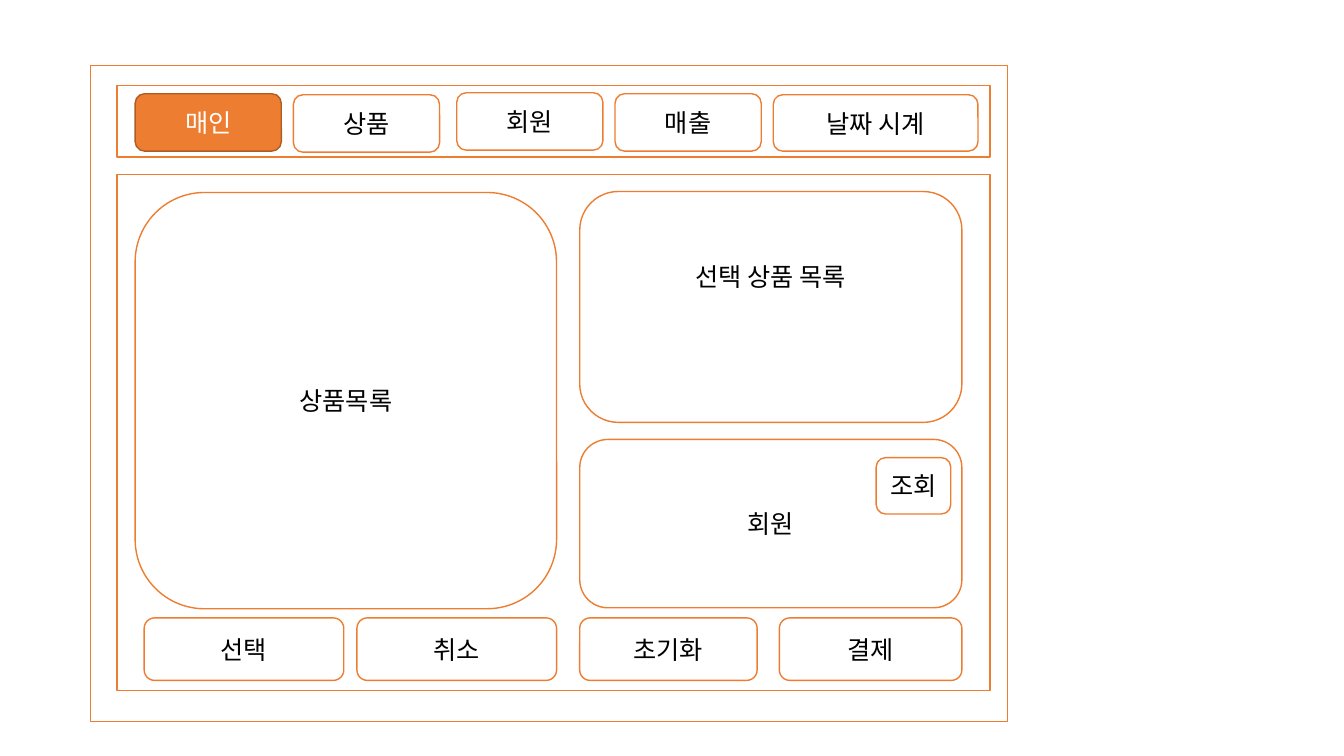
from pptx import Presentation
from pptx.dml.color import RGBColor
from pptx.enum.shapes import MSO_SHAPE as SHAPE
from pptx.enum.text import MSO_ANCHOR as ANCHOR, PP_ALIGN as ALIGN
from pptx.oxml.ns import qn
from pptx.util import Inches, Pt
from lxml.etree import SubElement

FONT = "Noto Sans CJK KR"
COLORS = {
    "white": "FFFFFF",
    "black": "000000",
    "orange": "ED7D31",
    "dark_orange": "AF5C24",
}


def color(name):
    return RGBColor.from_string(COLORS[name])


def write_text(sp, text, size=18, font_color="black", bottom=0.05):
    tf = sp.text_frame
    tf.word_wrap = True
    tf.vertical_anchor = ANCHOR.MIDDLE
    tf.margin_bottom = Inches(bottom)
    p = tf.paragraphs[0]
    p.alignment = ALIGN.CENTER
    r = p.add_run()
    r.text = text
    r.font.size = Pt(size)
    r.font.name = FONT
    r.font.color.rgb = color(font_color)
    SubElement(r.font._element, qn("a:ea"), typeface=FONT)


def add_box(s, kind, x, y, w, h, fill="white", line="orange"):
    sp = s.shapes.add_shape(kind, Inches(x), Inches(y), Inches(w), Inches(h))
    sp.shadow.inherit = False
    sp.fill.solid()
    sp.fill.fore_color.rgb = color(fill)
    sp.line.color.rgb = color(line)
    sp.line.width = Pt(1)
    return sp


def add_frame(s, x, y, w, h):
    add_box(s, SHAPE.RECTANGLE, x, y, w, h)


def add_panel(s, text, x, y, w, h, fill="white", line="orange", **text_format):
    sp = add_box(s, SHAPE.ROUNDED_RECTANGLE, x, y, w, h, fill, line)
    write_text(sp, text, **text_format)


def add_menu(s):
    add_panel(s, "매인", 1.34, 0.93, 1.45, 0.57,
              fill="orange", line="dark_orange", font_color="white")
    for text, x, y in [("상품", 2.91, 0.94), ("회원", 4.53, 0.92), ("매출", 6.1, 0.93)]:
        add_panel(s, text, x, y, 1.45, 0.57)
    add_panel(s, "날짜 시계", 7.67, 0.94, 2.03, 0.56)


def add_content(s):
    add_panel(s, "상품목록", 1.34, 1.91, 4.18, 4.13)
    add_panel(s, "선택 상품 목록", 5.75, 1.9, 3.79, 2.29, bottom=0.65)
    add_panel(s, "회원", 5.75, 4.36, 3.79, 1.67)
    add_panel(s, "조회", 8.69, 4.54, 0.74, 0.56)


def add_actions(s):
    actions = [("선택", 1.43, 1.98), ("취소", 3.54, 1.98),
               ("초기화", 5.75, 1.76), ("결제", 7.73, 1.81)]
    for text, x, w in actions:
        add_panel(s, text, x, 6.13, w, 0.62)


def main():
    prs = Presentation()
    prs.slide_width, prs.slide_height = Inches(13.33), Inches(7.5)
    s = prs.slides.add_slide(prs.slide_layouts[6])
    add_frame(s, 0.9, 0.65, 9.09, 6.51)
    add_frame(s, 1.16, 0.85, 8.66, 0.71)
    add_frame(s, 1.16, 1.73, 8.66, 5.12)
    add_menu(s)
    add_content(s)
    add_actions(s)
    prs.save("out.pptx")


if __name__ == "__main__":
    main()
